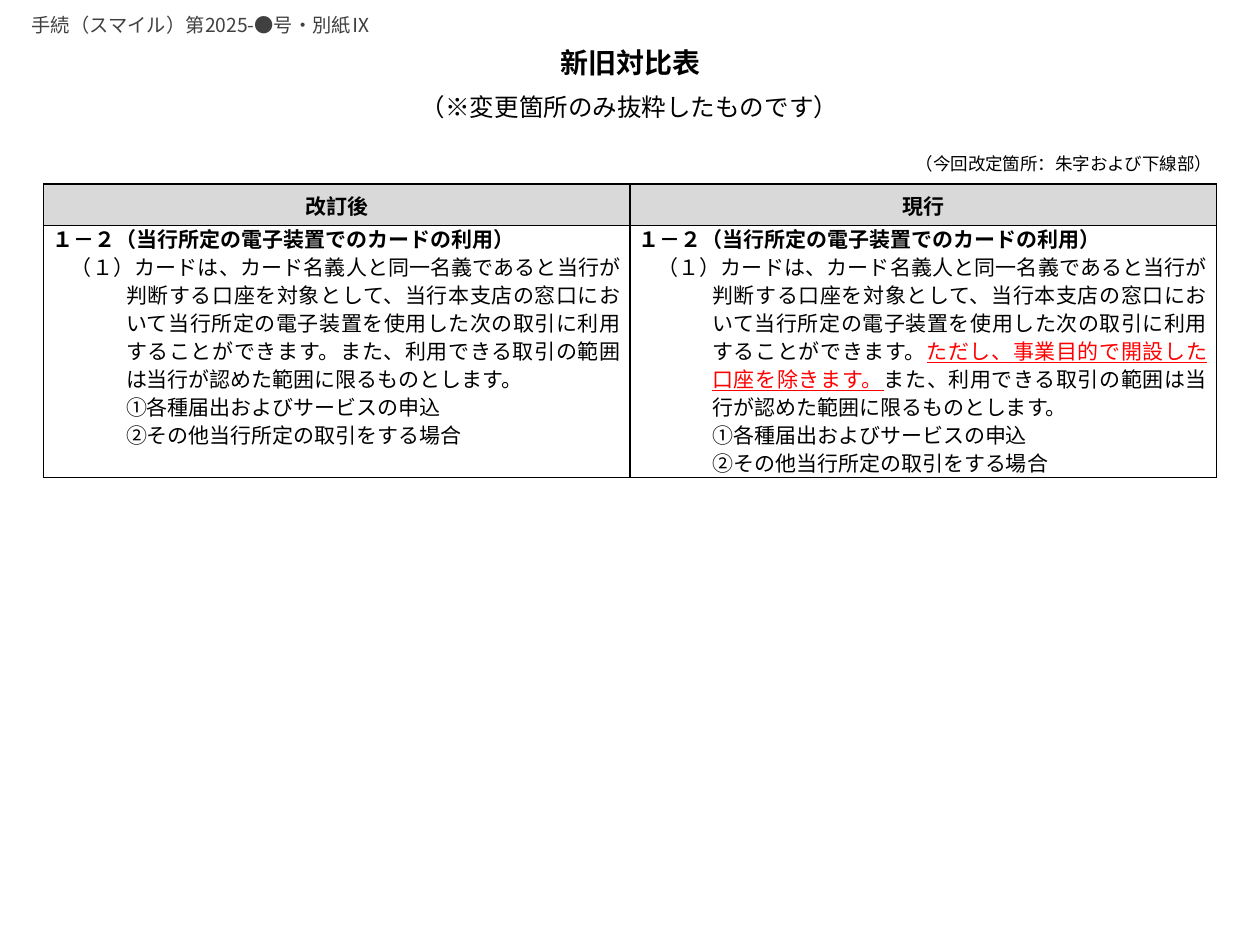
from lxml.etree import SubElement
from pptx import Presentation
from pptx.dml.color import RGBColor
from pptx.enum.text import MSO_ANCHOR as Anchor, PP_ALIGN as Align
from pptx.oxml.ns import qn
from pptx.util import Cm, Pt

BLACK = RGBColor(0x00, 0x00, 0x00)
RED = RGBColor(0xFF, 0x00, 0x00)
GRAY = RGBColor(0x40, 0x40, 0x40)
HEADER_FILL = RGBColor(0xD9, 0xD9, 0xD9)
FONT = "Noto Sans CJK JP"
HEADING_FONT = "Arial"

CLAUSE_TITLE = "１－２（当行所定の電子装置でのカードの利用）"
CLAUSE_START = (
    "（１）カードは、カード名義人と同一名義であると当行が判断する口座を対象として、"
    "当行本支店の窓口において当行所定の電子装置を使用した次の取引に利用することができます。"
)
CLAUSE_ADDED = "ただし、事業目的で開設した口座を除きます。"
CLAUSE_END = "また、利用できる取引の範囲は当行が認めた範囲に限るものとします。"
CLAUSE_ITEMS = ["①各種届出およびサービスの申込", "②その他当行所定の取引をする場合"]


def add_span(para, text, size, color=BLACK, bold=False, underline=False, latin=FONT):
    span = para.add_run()
    span.text = text
    font = span.font
    font.size, font.bold, font.underline = Pt(size), bold, underline
    font.color.rgb = color
    font.name = latin
    SubElement(font._element, qn("a:ea")).set("typeface", FONT)


def write_line(shape, text, size, align=Align.LEFT, color=BLACK, bold=False, wrap=True):
    frame = shape.text_frame
    frame.word_wrap = wrap
    frame.vertical_anchor = Anchor.MIDDLE
    para = frame.paragraphs[0]
    para.alignment = align
    add_span(para, text, size, color, bold)


def add_text_box(page, left, top, width, height, text, size, **style):
    box = page.shapes.add_textbox(Cm(left), Cm(top), Cm(width), Cm(height))
    write_line(box, text, size, **style)
    return box


def add_title(page, text):
    title = page.shapes.title
    title.left, title.top, title.width, title.height = Cm(6.83), Cm(0.79), Cm(11.76), Cm(0.94)
    write_line(title, text, 16, align=Align.CENTER, bold=True)


def format_cell(cell, margin_y, fill=None):
    cell.margin_left = cell.margin_right = Cm(0.18)
    cell.margin_top = cell.margin_bottom = Cm(margin_y)
    properties = cell._tc.get_or_add_tcPr()
    for side in ("lnL", "lnR", "lnT", "lnB"):
        border = SubElement(properties, qn(f"a:{side}"), w=str(Pt(1)))
        line_fill = SubElement(border, qn("a:solidFill"))
        SubElement(line_fill, qn("a:srgbClr"), val=str(BLACK))
    if fill is None:
        cell.fill.background()
    else:
        cell.fill.solid()
        cell.fill.fore_color.rgb = fill


def write_header(cell, text):
    format_cell(cell, 0.1, HEADER_FILL)
    cell.vertical_anchor = Anchor.MIDDLE
    para = cell.text_frame.paragraphs[0]
    para.alignment = Align.CENTER
    para.line_spacing = Pt(18)
    add_span(para, text, 12, bold=True)


def format_clause_para(para, margin, indent=0):
    para.alignment = Align.JUSTIFY
    para.line_spacing = Pt(16)
    properties = para._p.get_or_add_pPr()
    properties.set("marL", str(Cm(margin)))
    properties.set("indent", str(Cm(indent)))


def write_clause(cell, added):
    format_cell(cell, 0)
    frame = cell.text_frame
    heading = frame.paragraphs[0]
    format_clause_para(heading, 1.27, -1.27)
    add_span(heading, CLAUSE_TITLE, 12, bold=True, latin=HEADING_FONT)

    body = frame.add_paragraph()
    format_clause_para(body, 1.48, -1.11)
    add_span(body, CLAUSE_START, 12)
    if added:
        add_span(body, added, 12, color=RED, underline=True)
    add_span(body, CLAUSE_END, 12)

    for item in CLAUSE_ITEMS:
        para = frame.add_paragraph()
        format_clause_para(para, 1.48)
        add_span(para, item, 12)


def add_comparison_table(page, columns):
    frame = page.shapes.add_table(2, len(columns), Cm(0.88), Cm(3.71), Cm(23.64), Cm(5.91))
    table = frame.table
    table.first_row = table.horz_banding = False
    table.rows[0].height, table.rows[1].height = Cm(0.83), Cm(5.08)
    for index, (header, added) in enumerate(columns):
        write_header(table.cell(0, index), header)
        write_clause(table.cell(1, index), added)


def main():
    deck = Presentation()
    deck.slide_width, deck.slide_height = Cm(25.4), Cm(19.05)
    page = deck.slides.add_slide(deck.slide_layouts[5])

    add_title(page, "新旧対比表")
    add_comparison_table(page, [("改訂後", None), ("現行", CLAUSE_ADDED)])
    add_text_box(page, 18.21, 2.95, 6.68, 0.69, "（今回改定箇所：朱字および下線部）", 10)
    add_text_box(page, 8.2, 1.73, 8.99, 0.86, "（※変更箇所のみ抜粋したものです）", 14,
                 align=Align.CENTER, wrap=False)
    reference = add_text_box(page, 0, 0, 12.45, 1.02,
                             "手続（スマイル）第2025-●号・別紙Ⅸ", 11, color=GRAY)
    reference.text_frame.margin_left = Cm(0.64)

    deck.save("out.pptx")


if __name__ == "__main__":
    main()
